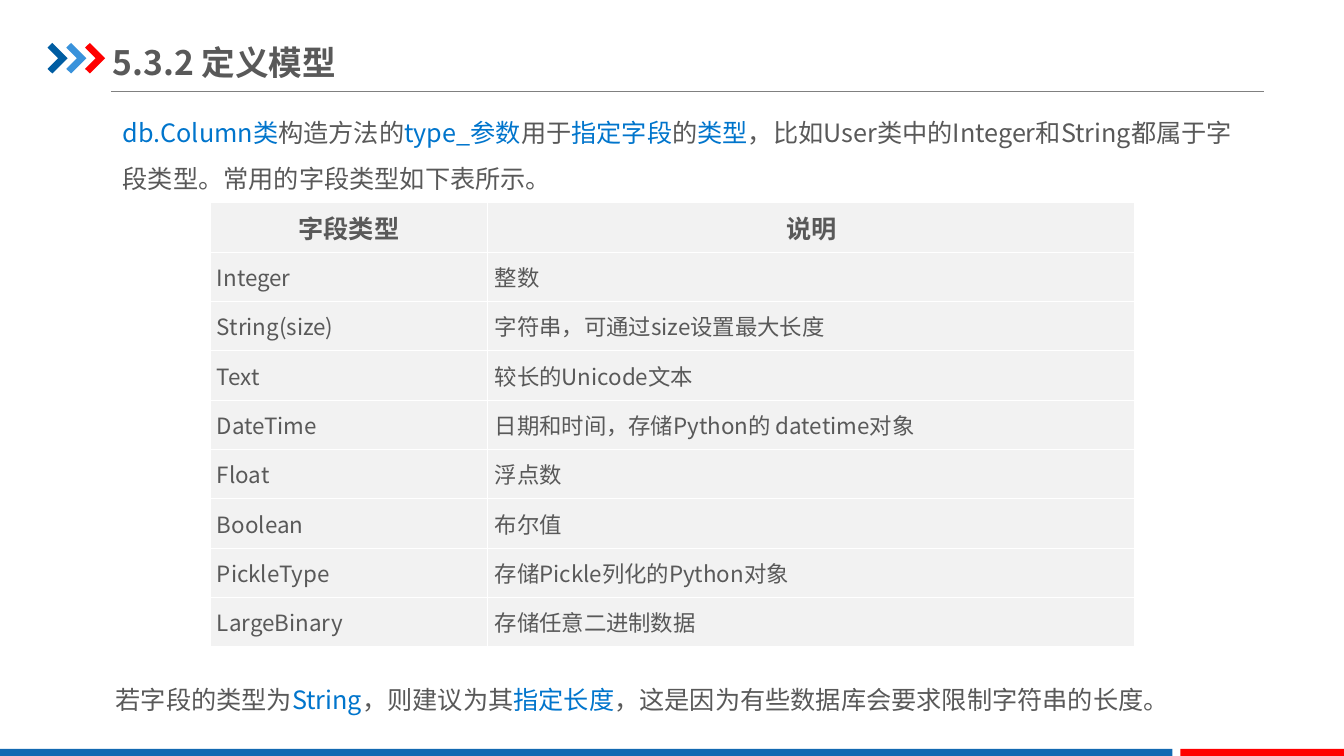
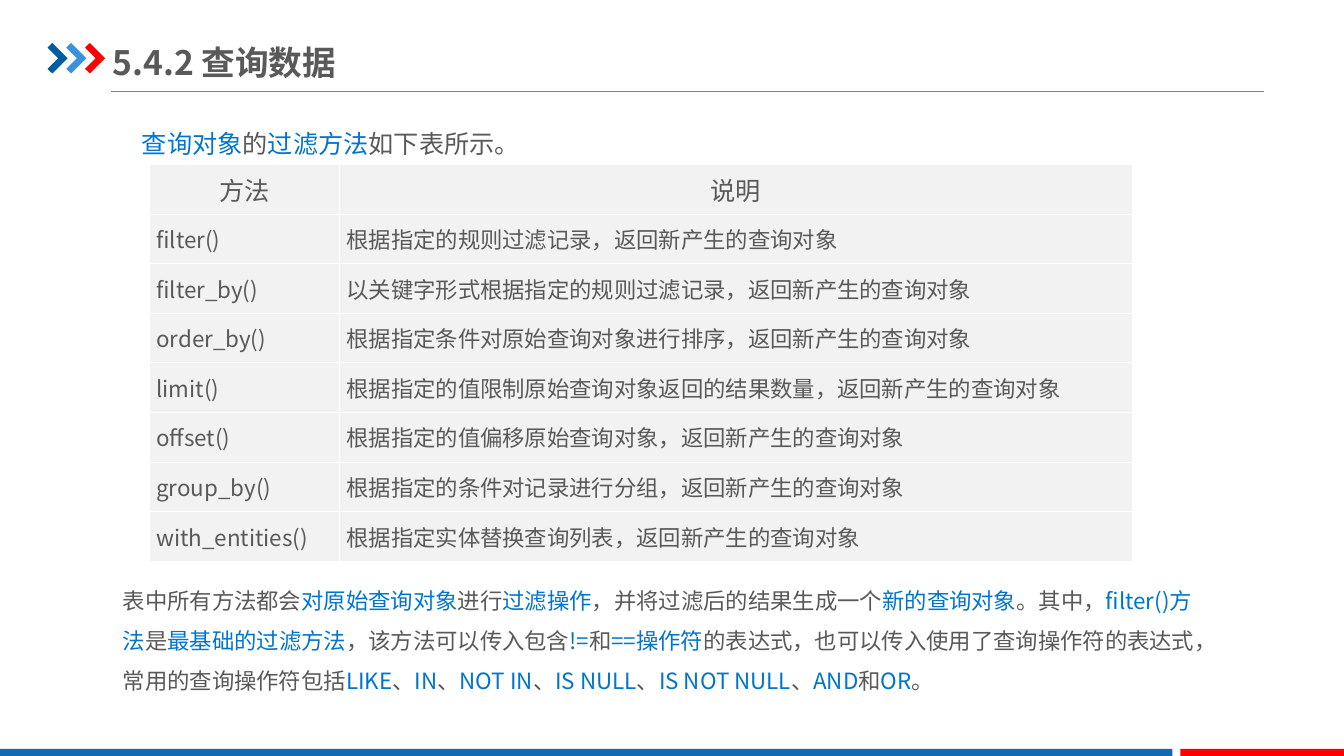
from dataclasses import dataclass
from itertools import product

from lxml import etree
from pptx import Presentation
from pptx.dml.color import RGBColor
from pptx.enum.shapes import MSO_CONNECTOR, MSO_SHAPE
from pptx.enum.text import MSO_ANCHOR, PP_ALIGN
from pptx.oxml.ns import qn
from pptx.util import Pt

LINE = MSO_CONNECTOR.STRAIGHT
RECT = MSO_SHAPE.RECTANGLE
MIDDLE = MSO_ANCHOR.MIDDLE
CENTER, LEFT = PP_ALIGN.CENTER, PP_ALIGN.LEFT


@dataclass(frozen=True)
class Theme:
    font: str = "Noto Sans CJK SC"
    title: int = 24
    body: int = 18
    small: int = 16
    text: str = "595959"
    accent: str = "0075CC"
    cell: str = "F2F2F2"
    border: str = "FFFFFF"
    rule: str = "808080"
    band: str = "1369B2"
    red: str = "FF0000"
    arrows: tuple = ("005DA2", "3992DB", "FF0000")


theme = Theme()

ARROW = [(0, 3.3), (3.4, 0), (14.3, 10.9), (3.4, 21.8), (0, 18.5), (7.6, 10.9)]
ARROW_LEFT, ARROW_TOP, ARROW_STEP = 34, 30.7, 13.4
BANDS = [(0, 837.5, theme.band), (843.1, 116.9, theme.red)]

PAGES = [
    {
        "title": "5.3.2 定义模型",
        "notes": [
            (80.6, 69.8, 808.6, 72.7, theme.body,
             "|db.Column类|构造方法的|type_参数|用于|指定字段|的|类型|，比如User类中的"
             "Integer和String都属于字段类型。常用的字段类型如下表所示。"),
            (75.6, 474.5, 808.6, 40.3, theme.body,
             "若字段的类型为|String|，则建议为其|指定长度|，这是因为有些数据库会要求"
             "限制字符串的长度。"),
        ],
        "place": (150, 144.8),
        "widths": (198.4, 462.2),
        "height": 35.25,
        "bold": True,
        "rows": [
            ("字段类型", "说明"),
            ("Integer", "整数"),
            ("String(size)", "字符串，可通过size设置最大长度"),
            ("Text", "较长的Unicode文本"),
            ("DateTime", "日期和时间，存储Python的 datetime对象"),
            ("Float", "浮点数"),
            ("Boolean", "布尔值"),
            ("PickleType", "存储Pickle列化的Python对象"),
            ("LargeBinary", "存储任意二进制数据"),
        ],
    },
    {
        "title": "5.4.2 查询数据",
        "notes": [
            (94.3, 77, 272.2, 40.3, theme.body,
             "|查询对象|的|过滤方法|如下表所示。"),
            (80.6, 406.1, 790.6, 94.3, theme.small,
             "表中所有方法都会|对原始查询对象|进行|过滤操作|，并将过滤后的结果生成一个"
             "|新的查询对象|。其中，|filter()方法|是|最基础的过滤方法|，该方法可以传入包含"
             "|!=|和|==操作符|的表达式，也可以传入使用了查询操作符的表达式，"
             "常用的查询操作符包括|LIKE|、|IN|、|NOT IN|、|IS NULL|、|IS NOT NULL|、"
             "|AND|和|OR|。"),
        ],
        "place": (106.7, 117.4),
        "widths": (135.8, 566.3),
        "height": 35.45,
        "bold": False,
        "rows": [
            ("方法", "说明"),
            ("filter()", "根据指定的规则过滤记录，返回新产生的查询对象"),
            ("filter_by()", "以关键字形式根据指定的规则过滤记录，返回新产生的查询对象"),
            ("order_by()", "根据指定条件对原始查询对象进行排序，返回新产生的查询对象"),
            ("limit()", "根据指定的值限制原始查询对象返回的结果数量，返回新产生的查询对象"),
            ("offset()", "根据指定的值偏移原始查询对象，返回新产生的查询对象"),
            ("group_by()", "根据指定的条件对记录进行分组，返回新产生的查询对象"),
            ("with_entities()", "根据指定实体替换查询列表，返回新产生的查询对象"),
        ],
    },
]


def write(para, text, size, bold=False):
    """Fill a paragraph; every second part between bars takes the accent colour."""
    for index, part in enumerate(text.split("|")):
        if not part:
            continue
        run = para.add_run()
        run.text = part
        font = run.font
        font.name, font.size, font.bold = theme.font, Pt(size), bold
        color = theme.accent if index % 2 else theme.text
        font.color.rgb = RGBColor.from_string(color)
        east = etree.SubElement(run._r.get_or_add_rPr(), qn("a:ea"))
        east.set("typeface", theme.font)


def paint(shape, color):
    shape.shadow.inherit = False
    shape.fill.solid()
    shape.fill.fore_color.rgb = RGBColor.from_string(color)
    shape.line.fill.background()


deck = Presentation()
deck.slide_width, deck.slide_height = Pt(960), Pt(540)

for page in PAGES:
    slide = deck.slides.add_slide(deck.slide_layouts[6])
    shapes = slide.shapes

    # Shared frame: title rule, arrows, footer bands
    rule = shapes.add_connector(LINE, Pt(79.2), Pt(65.5), Pt(903), Pt(65.5))
    rule.line.color.rgb = RGBColor.from_string(theme.rule)
    rule.line.width = Pt(0.75)
    etree.SubElement(rule._element.spPr, qn("a:effectLst"))

    for index, color in enumerate(theme.arrows):
        left = ARROW_LEFT + index * ARROW_STEP
        points = [(Pt(left + x), Pt(ARROW_TOP + y)) for x, y in ARROW]
        outline = shapes.build_freeform(*points[0])
        outline.add_line_segments(points[1:], close=True)
        paint(outline.convert_to_shape(), color)

    for left, width, color in BANDS:
        band = shapes.add_shape(RECT, Pt(left), Pt(535), Pt(width), Pt(5))
        paint(band, color)

    # Title
    frame = shapes.add_textbox(Pt(80.6), Pt(24.5), Pt(399), Pt(39.6)).text_frame
    frame.word_wrap = True
    frame.vertical_anchor = MIDDLE
    frame.margin_left = frame.margin_right = 0
    frame.margin_top = frame.margin_bottom = Pt(5)
    write(frame.paragraphs[0], page["title"], theme.title, True)

    # Text above and below the table
    for left, top, width, height, size, text in page["notes"]:
        box = shapes.add_textbox(Pt(left), Pt(top), Pt(width), Pt(height))
        box.text_frame.word_wrap = True
        para = box.text_frame.paragraphs[0]
        para.line_spacing = 1.5
        write(para, text, size)

    # Table
    rows, widths = page["rows"], page["widths"]
    left, top = page["place"]
    table = shapes.add_table(
        len(rows), len(widths), Pt(left), Pt(top),
        Pt(sum(widths)), Pt(page["height"] * len(rows))).table
    table.first_row = table.horz_banding = False
    for col, width in zip(table.columns, widths):
        col.width = Pt(width)
    for row in table.rows:
        row.height = Pt(page["height"])

    for r, c in product(range(len(rows)), range(len(widths))):
        head = r == 0
        cell = table.cell(r, c)
        cell.vertical_anchor = MIDDLE
        cell.margin_left = cell.margin_right = Pt(5)
        cell.margin_top = cell.margin_bottom = 0
        props = cell._tc.get_or_add_tcPr()
        for side in ("lnL", "lnR", "lnT", "lnB"):
            edge = etree.SubElement(props, qn("a:" + side), w=str(Pt(0.75)))
            fill = etree.SubElement(edge, qn("a:solidFill"))
            etree.SubElement(fill, qn("a:srgbClr"), val=theme.border)
        cell.fill.solid()
        cell.fill.fore_color.rgb = RGBColor.from_string(theme.cell)
        para = cell.text_frame.paragraphs[0]
        para.alignment = CENTER if head else LEFT
        size = theme.body if head else theme.small
        write(para, rows[r][c], size, head and page["bold"])

deck.save("out.pptx")
